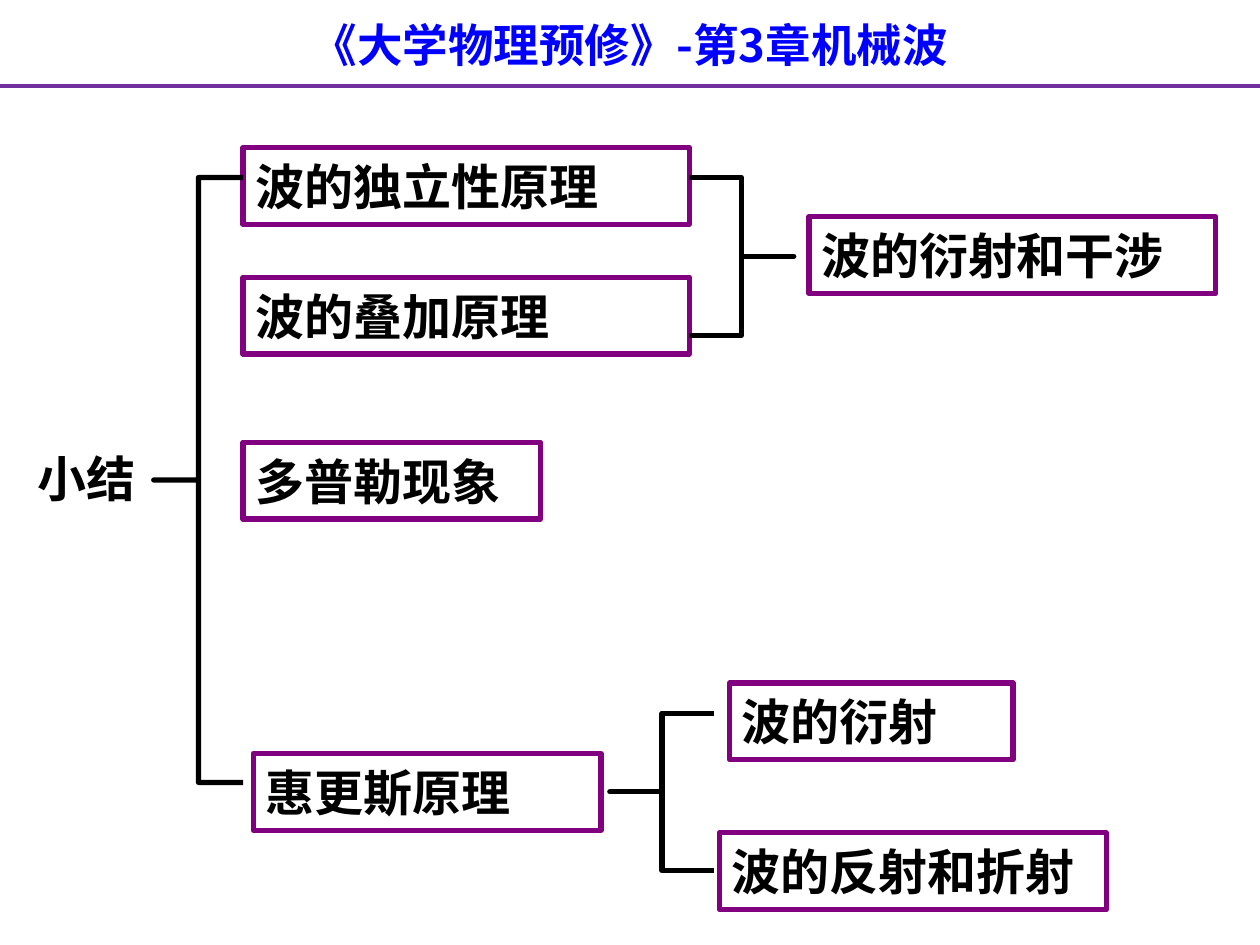
from typing import NamedTuple

from lxml import etree
from pptx import Presentation
from pptx.dml.color import RGBColor
from pptx.enum.shapes import MSO_CONNECTOR, MSO_SHAPE
from pptx.enum.text import MSO_ANCHOR, PP_ALIGN
from pptx.oxml.ns import qn
from pptx.util import Inches, Pt

RECT = MSO_SHAPE.RECTANGLE
LEFT_BRACE = MSO_SHAPE.LEFT_BRACE
RIGHT_BRACE = MSO_SHAPE.RIGHT_BRACE
STRAIGHT = MSO_CONNECTOR.STRAIGHT
MIDDLE = MSO_ANCHOR.MIDDLE
LEFT = PP_ALIGN.LEFT
CENTER = PP_ALIGN.CENTER

FONT = "Noto Sans CJK SC"
BLACK, WHITE, BLUE = "000000", "FFFFFF", "0000FF"
PURPLE, VIOLET = "800080", "7030A0"
BOX_HIGH = 0.61


class Topic(NamedTuple):
    text: str
    left: float
    top: float
    width: float


class Brace(NamedTuple):
    kind: MSO_SHAPE
    left: float
    top: float
    width: float
    height: float


TOPICS = [
    Topic("波的独立性原理", 1.93, 1.17, 3.54),
    Topic("波的叠加原理", 1.93, 2.2, 3.54),
    Topic("波的衍射和干涉", 6.42, 1.72, 3.23),
    Topic("多普勒现象", 1.93, 3.51, 2.36),
    Topic("波的衍射", 5.79, 5.42, 2.25),
    Topic("波的反射和折射", 5.71, 6.61, 3.07),
    Topic("惠更斯原理", 2.01, 5.98, 2.76),
]

BRACES = [
    Brace(LEFT_BRACE, 1.22, 1.41, 0.71, 4.8),
    Brace(RIGHT_BRACE, 5.47, 1.41, 0.83, 1.25),
    Brace(LEFT_BRACE, 4.84, 5.66, 0.83, 1.25),
]


def paint(target, color: str) -> None:
    """Give a fill or font colour format a hex colour."""
    target.rgb = RGBColor.from_string(color)


def stroke(line, color: str, width: float) -> None:
    line.width = Pt(width)
    line.fill.solid()
    paint(line.fill.fore_color, color)


def write(shape, text: str, size: float, color: str, align=LEFT) -> None:
    frame = shape.text_frame
    frame.text = text
    frame.word_wrap = True
    frame.vertical_anchor = MIDDLE
    frame.margin_left = frame.margin_right = Inches(0.1)
    frame.margin_top = frame.margin_bottom = Inches(0.05)
    para = frame.paragraphs[0]
    para.alignment = align
    font = para.runs[0].font
    font.size = Pt(size)
    font.bold = True
    font.name = FONT
    paint(font.color, color)
    props = para.runs[0]._r.get_or_add_rPr()
    etree.SubElement(props, qn("a:ea")).set("typeface", FONT)


def add_label(slide, text: str, area: tuple, size: float, color: str,
              align=LEFT) -> None:
    label = slide.shapes.add_textbox(*map(Inches, area))
    write(label, text, size, color, align)


def add_topic(slide, topic: Topic) -> None:
    area = (topic.left, topic.top, topic.width, BOX_HIGH)
    box = slide.shapes.add_shape(RECT, *map(Inches, area))
    box.shadow.inherit = False
    box.fill.solid()
    paint(box.fill.fore_color, WHITE)
    stroke(box.line, PURPLE, 3)
    write(box, topic.text, 28, BLACK)


def add_brace(slide, brace: Brace) -> None:
    shape = slide.shapes.add_shape(brace.kind, *map(Inches, brace[1:]))
    shape.shadow.inherit = False
    shape.adjustments[0] = 0
    shape.adjustments[1] = 0.5
    shape.fill.background()
    stroke(shape.line, BLACK, 3)


def add_rule(slide, top: float) -> None:
    rule = slide.shapes.add_connector(
        STRAIGHT, Inches(0), Inches(top), Inches(10), Inches(top))
    stroke(rule.line, VIOLET, 2.25)
    etree.SubElement(rule._element.spPr, qn("a:effectLst"))


def main() -> None:
    deck = Presentation()
    deck.slide_width, deck.slide_height = Inches(10), Inches(7.5)
    slide = deck.slides.add_slide(deck.slide_layouts[6])
    add_label(slide, "《大学物理预修》-第3章机械波", (0, 0.08, 10, 0.54),
              26, BLUE, CENTER)
    add_rule(slide, 0.68)
    for topic in TOPICS:
        add_topic(slide, topic)
    add_label(slide, "小结", (0.2, 3.51, 1.36, 0.56), 28, BLACK)
    for brace in BRACES:
        add_brace(slide, brace)
    deck.save("out.pptx")


if __name__ == "__main__":
    main()
